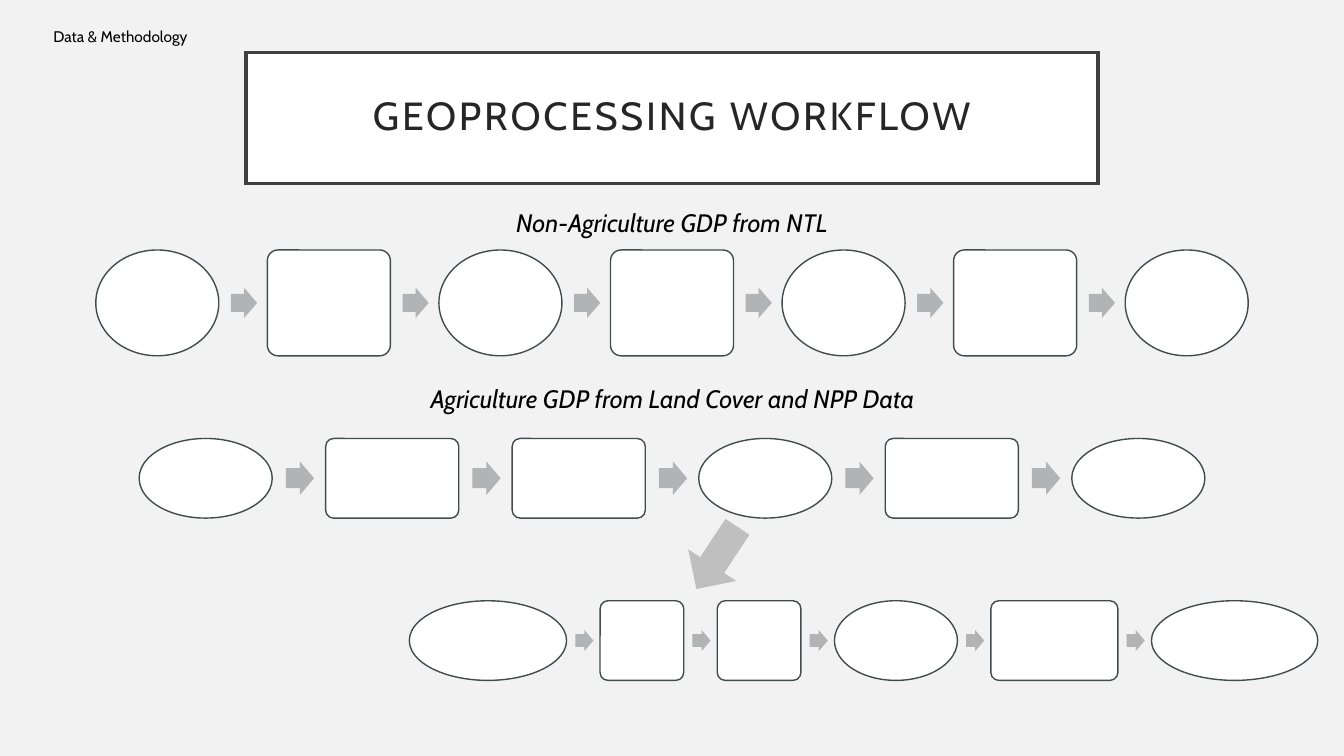
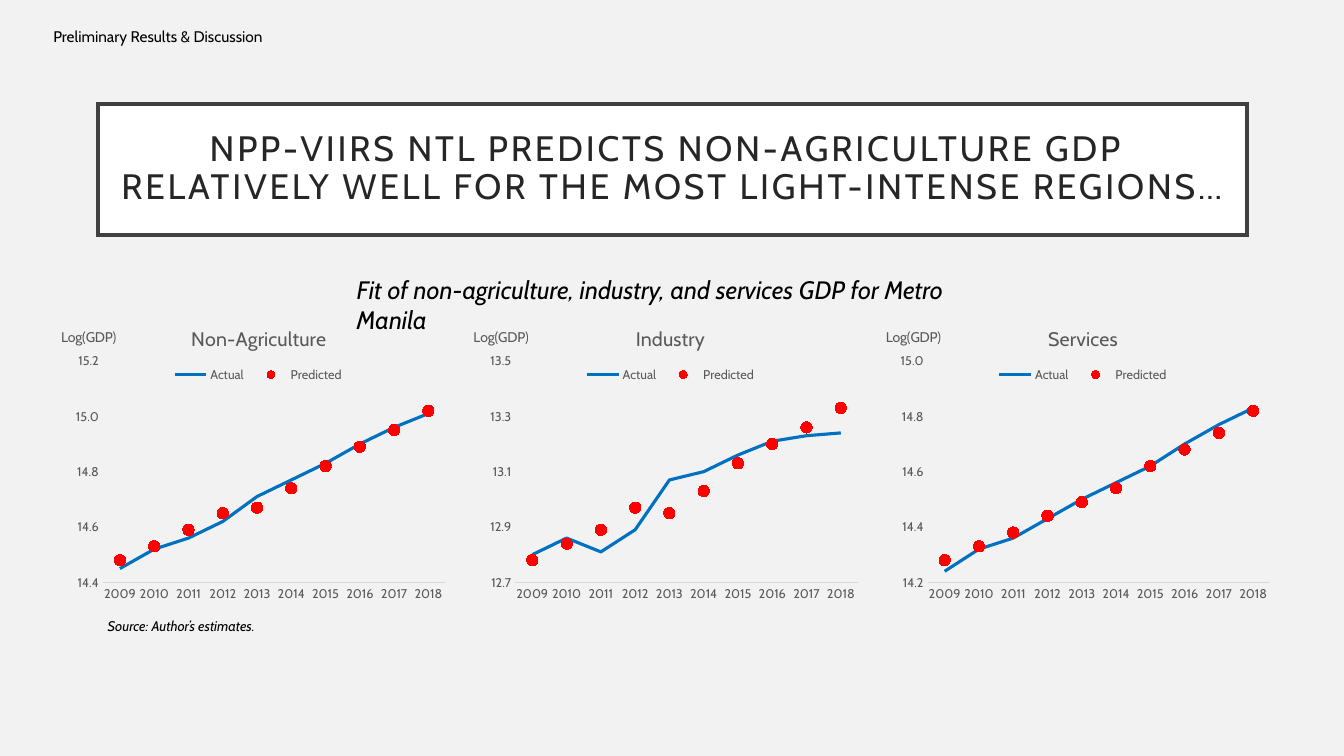
from lxml import etree
from pptx import Presentation
from pptx import util as u
from pptx.chart import data as chart_data
from pptx.dml.color import RGBColor
from pptx.enum import chart as ch, shapes, text
from pptx.oxml import parse_xml
from pptx.oxml.ns import nsdecls, qn

BACKGROUND = RGBColor(0xF2, 0xF2, 0xF2)
WHITE = RGBColor(0xFF, 0xFF, 0xFF)
BLACK = RGBColor(0x00, 0x00, 0x00)
TITLE_TEXT = RGBColor(0x26, 0x26, 0x26)
TITLE_LINE = RGBColor(0x40, 0x40, 0x40)
NODE_LINE = RGBColor(0x43, 0x4B, 0x4E)
ARROW = RGBColor(0xB2, 0xB3, 0xB4)
BRANCH_ARROW = RGBColor(0xBF, 0xBF, 0xBF)
CHART_TEXT = RGBColor(0x59, 0x59, 0x59)
AXIS_LINE = RGBColor(0xD9, 0xD9, 0xD9)
ACTUAL = RGBColor(0x00, 0x70, 0xC0)
PREDICTED = RGBColor(0xFF, 0x00, 0x00)
FONT = "Cabin"

prs = Presentation()
prs.slide_width = u.Inches(13.33)
prs.slide_height = u.Inches(7.5)
prs.slide_master.background.fill.solid()
prs.slide_master.background.fill.fore_color.rgb = BACKGROUND


def add_text(slide, wording, box, size, italic=False, align=text.PP_ALIGN.LEFT):
    frame = slide.shapes.add_textbox(*map(u.Inches, box)).text_frame
    frame.word_wrap = True
    frame.paragraphs[0].alignment = align
    run = frame.paragraphs[0].add_run()
    run.text = wording
    run.font.name, run.font.size = FONT, u.Pt(size)
    run.font.italic = italic
    run.font.color.rgb = BLACK


def place(element, index, x, y, w=None, h=None):
    """Give a chart part a manual layout, in fractions of the chart."""
    for old in element.findall(qn("c:layout")):
        element.remove(old)
    layout = parse_xml(f"<c:layout {nsdecls('c')}><c:manualLayout/></c:layout>")
    settings = [("xMode", "edge"), ("yMode", "edge"), ("x", x), ("y", y)]
    if w:
        settings += [("w", w), ("h", h)]
    if element.tag == qn("c:plotArea"):
        settings.insert(0, ("layoutTarget", "inner"))
    for name, value in settings:
        etree.SubElement(layout[0], qn("c:" + name)).set("val", str(value))
    element.insert(index, layout)


# Slides with their section label and framed title
headings = [
    ("Data & Methodology", ["GEOPROCESSING WORKFLOW"], (2.44, 0.52, 8.45, 1.3), 28),
    ("Preliminary Results & Discussion",
     ["NPP-VIIRS NTL PREDICTS NON-AGRICULTURE GDP ",
      "RELATIVELY WELL FOR THE MOST LIGHT-INTENSE REGIONS…"],
     (0.97, 1.03, 11.4, 1.3), 25.2),
]
for section, title_lines, title_box, title_size in headings:
    slide = prs.slides.add_slide(prs.slide_layouts[5])
    title = slide.shapes.title
    title.left, title.top, title.width, title.height = map(u.Inches, title_box)
    title.fill.solid()
    title.fill.fore_color.rgb = WHITE
    title.line.color.rgb = TITLE_LINE
    title.line.width = u.Pt(2.5)
    # Square corners on the frame
    frame_line = title._element.spPr.find(qn("a:ln"))
    etree.SubElement(frame_line, qn("a:miter")).set("lim", "800000")
    frame = title.text_frame
    frame.word_wrap = True
    frame.auto_size = text.MSO_AUTO_SIZE.NONE
    frame.vertical_anchor = text.MSO_ANCHOR.MIDDLE
    frame.margin_left = frame.margin_right = u.Inches(0.2)
    frame.margin_top = frame.margin_bottom = u.Inches(0.2)
    paragraph = frame.paragraphs[0]
    paragraph.alignment = text.PP_ALIGN.CENTER
    paragraph.line_spacing = 0.9
    for number, line in enumerate(title_lines):
        if number:
            paragraph.add_line_break()
        run = paragraph.add_run()
        run.text = line
        run.font.name, run.font.size = FONT, u.Pt(title_size)
        run.font.color.rgb = TITLE_TEXT
        run.font._element.set("spc", "200")
    add_text(slide, section, (0.43, 0.22, 3.51, 0.29), 11)

workflow, results = prs.slides

# Workflow: three chains of data (ellipses) and steps (rounded boxes)
add_text(workflow, "Non-Agriculture GDP from NTL", (4.42, 2.01, 4.49, 0.4), 18,
         True, text.PP_ALIGN.CENTER)
add_text(workflow, "Agriculture GDP from Land Cover and NPP Data",
         (4.06, 3.75, 5.22, 0.4), 18, True, text.PP_ALIGN.CENTER)

# left, right, top, height, node kinds, node widths, arrow width and height
chains = [
    (0.95, 12.38, 2.48, 1.05, "DSDSDSD", [1.22] * 7, 0.26, 0.3),
    (1.38, 11.95, 4.35, 0.79, "DSSDSD", [1.32] * 6, 0.28, 0.33),
    (4.06, 13.07, 5.96, 0.79, "DSSDSD", [1.56, 0.83, 0.83, 1.22, 1.26, 1.65], 0.18, 0.21),
]
for left, right, top, height, kinds, widths, arrow_w, arrow_h in chains:
    chain = workflow.shapes.add_group_shape()
    gap = (right - left - sum(widths)) / (len(widths) - 1)
    for position, (kind, width) in enumerate(zip(kinds, widths)):
        if position:
            arrow = chain.shapes.add_shape(
                shapes.MSO_SHAPE.RIGHT_ARROW,
                u.Inches(left - (gap + arrow_w) / 2 + 0.01),
                u.Inches(top + (height - arrow_h) / 2),
                u.Inches(arrow_w), u.Inches(arrow_h))
            arrow.adjustments[0] = 0.6
            arrow.shadow.inherit = False
            arrow.fill.solid()
            arrow.fill.fore_color.rgb = ARROW
            arrow.line.fill.background()
        outline = shapes.MSO_SHAPE.OVAL if kind == "D" else shapes.MSO_SHAPE.ROUNDED_RECTANGLE
        node = chain.shapes.add_shape(outline, u.Inches(left), u.Inches(top),
                                      u.Inches(width), u.Inches(height))
        if kind == "S":
            node.adjustments[0] = 0.1
        node.shadow.inherit = False
        node.fill.solid()
        node.fill.fore_color.rgb = WHITE
        node.line.color.rgb = NODE_LINE
        node.line.width = u.Pt(1)
        left += width + gap

# Arrow from the second chain down to the third
branch = workflow.shapes.add_shape(shapes.MSO_SHAPE.RIGHT_ARROW, u.Inches(6.74),
                                   u.Inches(5.25), u.Inches(0.74), u.Inches(0.57))
branch.rotation = 123.4
branch.shadow.inherit = False
branch.fill.solid()
branch.fill.fore_color.rgb = BRANCH_ARROW
branch.line.fill.background()

# Results: one fit chart per sector
# name, axis minimum, title x, actual, predicted
sectors = [
    ("Non-Agriculture", 14.4, 0.32,
     (14.45, 14.52, 14.56, 14.62, 14.71, 14.77, 14.83, 14.9, 14.96, 15.01),
     (14.48, 14.53, 14.59, 14.65, 14.67, 14.74, 14.82, 14.89, 14.95, 15.02)),
    ("Industry", 12.7, 0.4,
     (12.8, 12.86, 12.81, 12.89, 13.07, 13.1, 13.16, 13.21, 13.23, 13.24),
     (12.78, 12.84, 12.89, 12.97, 12.95, 13.03, 13.13, 13.2, 13.26, 13.33)),
    ("Services", 14.2, 0.4,
     (14.24, 14.32, 14.36, 14.43, 14.5, 14.56, 14.62, 14.7, 14.77, 14.83),
     (14.28, 14.33, 14.38, 14.44, 14.49, 14.54, 14.62, 14.68, 14.74, 14.82)),
]
for column, (sector, minimum, title_x, actual, predicted) in enumerate(sectors):
    fit = chart_data.CategoryChartData()
    fit.categories = [str(year) for year in range(2009, 2019)]
    fit.add_series("Actual", actual)
    fit.add_series("Predicted", predicted)
    chart = results.shapes.add_chart(
        ch.XL_CHART_TYPE.LINE_MARKERS, u.Inches(0.58 + 4.09 * column), u.Inches(3.07),
        u.Inches(4), u.Inches(3.01), fit).chart
    chart.font.name, chart.font.size = FONT, u.Pt(10)
    chart.font.color.rgb = BLACK
    chart.plots[0].vary_by_categories = False

    # Series
    actual_line, predicted_dots = chart.plots[0].series
    actual_line.smooth = predicted_dots.smooth = False
    actual_line.format.line.color.rgb = ACTUAL
    actual_line.format.line.width = u.Pt(2.25)
    actual_line.marker.style = ch.XL_MARKER_STYLE.NONE
    predicted_dots.format.line.fill.background()
    predicted_dots.marker.style = ch.XL_MARKER_STYLE.CIRCLE
    predicted_dots.marker.size = 8
    predicted_dots.marker.format.fill.solid()
    predicted_dots.marker.format.fill.fore_color.rgb = PREDICTED
    predicted_dots.marker.format.line.fill.background()

    # Axes
    years, log_gdp = chart.category_axis, chart.value_axis
    log_gdp.minimum_scale = minimum
    log_gdp.maximum_scale = round(minimum + 0.8, 1)
    log_gdp.major_unit = 0.2
    log_gdp.has_major_gridlines = False
    log_gdp.tick_labels.number_format = "0.0"
    log_gdp.tick_labels.number_format_is_linked = False
    log_gdp.format.line.fill.background()
    years.format.line.color.rgb = AXIS_LINE
    years.format.line.width = u.Pt(0.75)
    for axis in (years, log_gdp):
        axis.major_tick_mark = axis.minor_tick_mark = ch.XL_TICK_MARK.NONE

    # Legend
    chart.has_legend = True
    chart.legend.position = ch.XL_LEGEND_POSITION.TOP
    chart.legend.include_in_layout = False
    for font in (years.tick_labels.font, log_gdp.tick_labels.font, chart.legend.font):
        font.name, font.size = FONT, u.Pt(9)
        font.color.rgb = CHART_TEXT

    # Chart title and axis title
    for heading, wording, size in ((chart.chart_title, sector, 14),
                                   (log_gdp.axis_title, "Log(GDP)", 10)):
        run = heading.text_frame.paragraphs[0].add_run()
        run.text = wording
        run.font.name, run.font.size = FONT, u.Pt(size)
        run.font.bold = False
        run.font.color.rgb = CHART_TEXT
        heading.text_frame._txBody.find(qn("a:bodyPr")).set("rot", "0")

    # Layout and transparent background
    plot_area = chart.element.xpath(".//c:plotArea")[0]
    place(plot_area, 0, 0.11, 0.17, 0.85, 0.73)
    place(chart.element.xpath(".//c:legend")[0], 1, 0.27, 0.17, 0.45, 0.09)
    place(chart.element.xpath("c:chart/c:title")[0], 1, title_x, 0.04)
    place(plot_area.xpath("c:valAx/c:title")[0], 1, 0, 0.05)
    clear = f"<c:spPr {nsdecls('c', 'a')}><a:noFill/><a:ln><a:noFill/></a:ln></c:spPr>"
    plot_area.append(parse_xml(clear))
    chart.element.find(qn("c:chart")).addnext(parse_xml(clear))

add_text(results, "Fit of non-agriculture, industry, and services GDP for Metro Manila",
         (3.44, 2.67, 6.46, 0.4), 18, True)
add_text(results, "Source: Author’s estimates.", (0.97, 6.08, 2.04, 0.27), 10, True)

prs.save("out.pptx")
